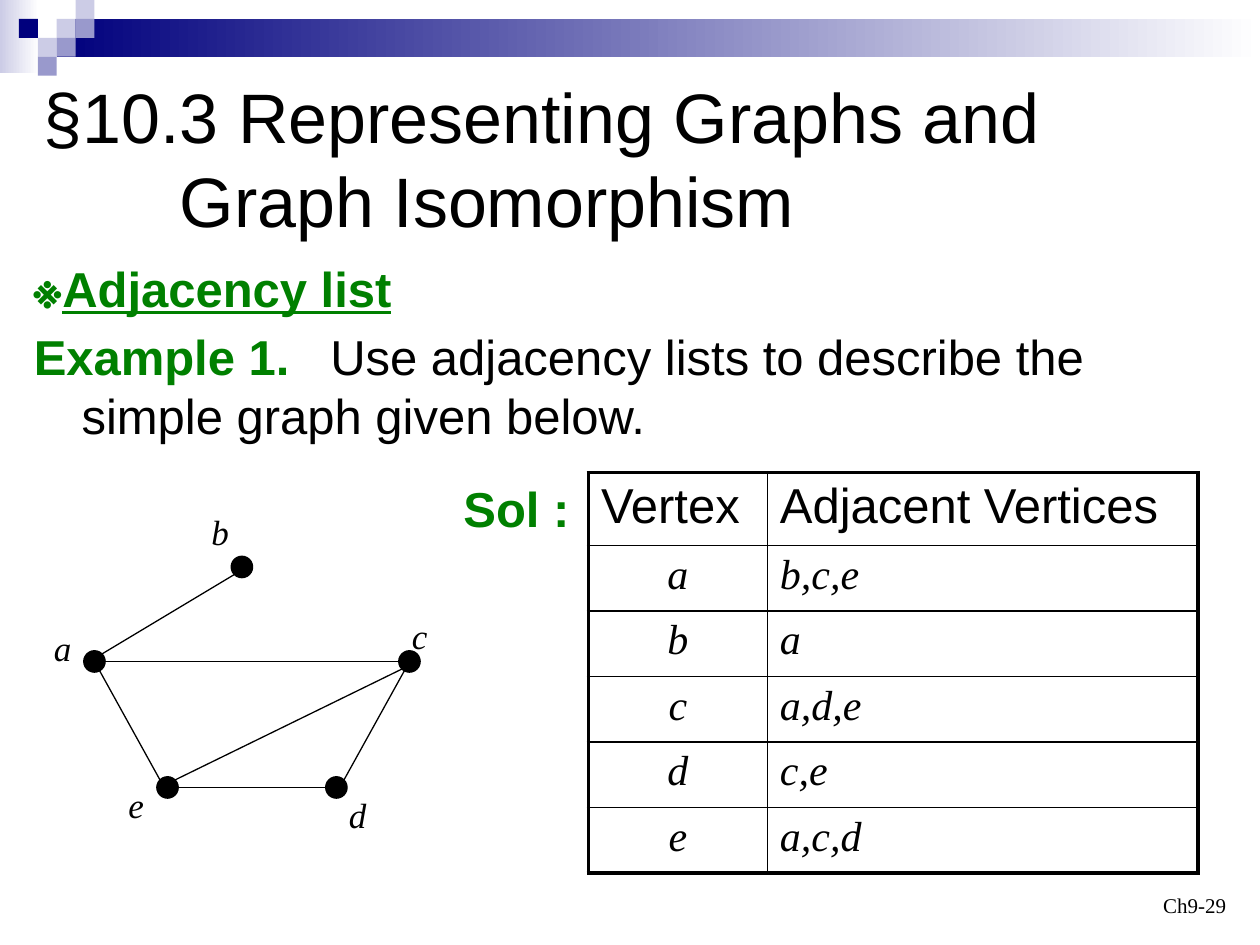
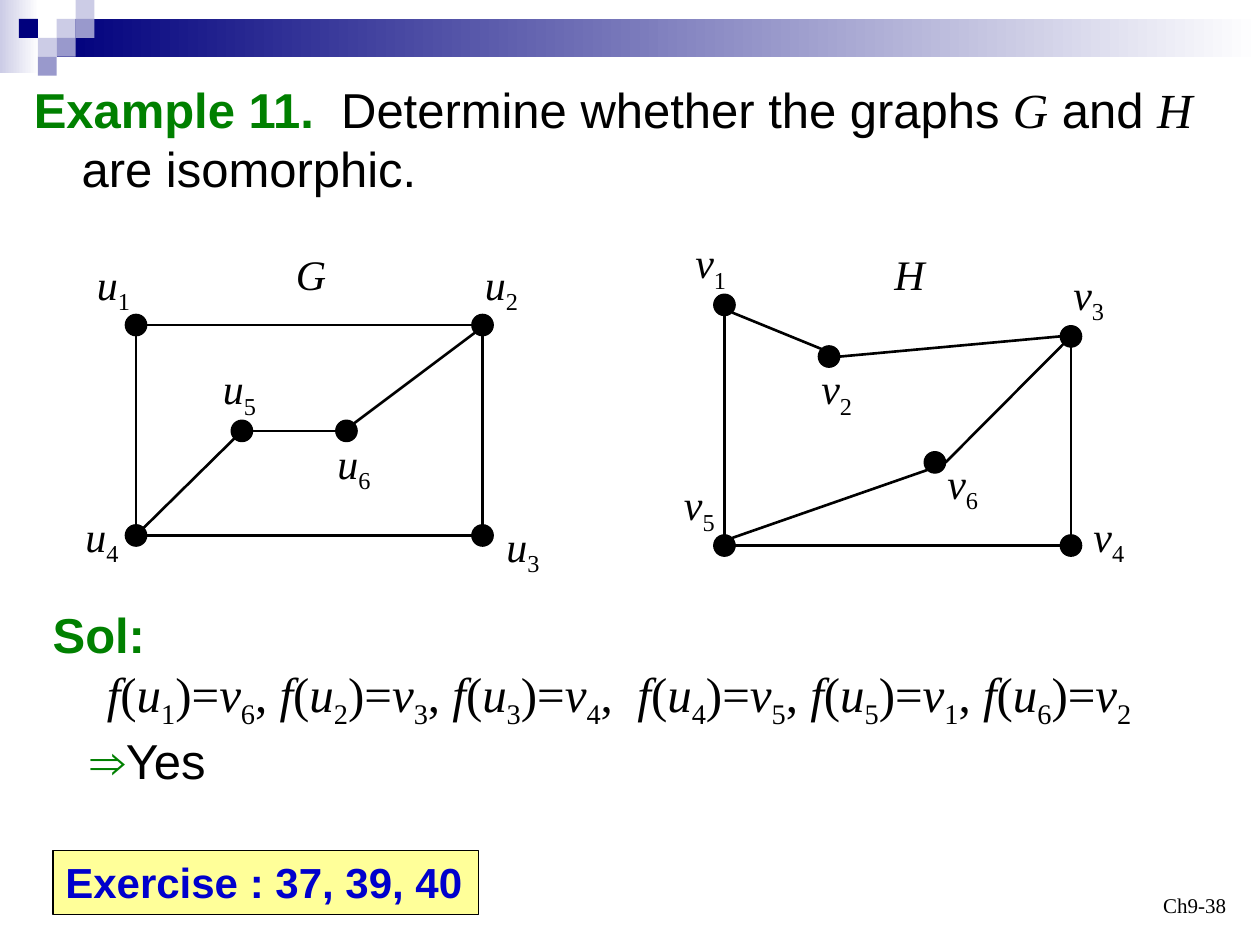
from dataclasses import dataclass
from math import cos, radians, sin

from lxml.etree import SubElement as Sub
from pptx import Presentation
from pptx.dml.color import RGBColor as Rgb
from pptx.enum.shapes import MSO_CONNECTOR as Conn, MSO_SHAPE as Kind
from pptx.enum.text import MSO_ANCHOR as Anchor, MSO_AUTO_SIZE as Auto, PP_ALIGN as Align
from pptx.oxml.ns import qn
from pptx.util import Inches, Pt


@dataclass(frozen=True)
class Theme:
    black: str = "000000"
    white: str = "FFFFFF"
    navy: str = "00007D"
    mid: str = "9999CC"
    pale: str = "CCCCE6"
    green: str = "008000"
    blue: str = "0000CC"
    yellow: str = "FFFF99"
    sans: str = "Arial"
    serif: str = "Times New Roman"
    title: int = 40
    body: int = 28
    label: int = 24
    small: int = 20
    foot: int = 12


T = Theme()
GREEN = dict(color=T.green, bold=True)
ITALIC = dict(font=T.serif, italic=True)
ROMAN = dict(font=T.serif)
SUBSCRIPT = dict(font=T.serif, base=-25000)
DOT = 0.17


def style(run, size=T.body, font=T.sans, color=T.black, bold=False,
          italic=False, under=False, base=0, gap=0):
    face = run.font
    face.size, face.name = Pt(size), font
    face.bold, face.italic, face.underline = bold, italic, under
    face.color.rgb = Rgb.from_string(color)
    props = run._r.get_or_add_rPr()
    if base:
        props.set("baseline", str(base))
    if gap:
        props.set("spc", str(round(gap * 100)))


def fill_text(frame, lines, align=Align.LEFT, lead=1, before=0,
              left=(), hang=0, **form):
    for i, line in enumerate(lines):
        para = frame.paragraphs[0] if i == 0 else frame.add_paragraph()
        para.alignment, para.line_spacing = align, lead
        if i and before:
            para.space_before = Pt(before)
        inset = left[i] if left else hang
        if inset:
            props = para._p.get_or_add_pPr()
            props.set("marL", str(Inches(inset)))
            props.set("indent", str(Inches(-hang)))
        for words, extra in [(line, {})] if isinstance(line, str) else line:
            run = para.add_run()
            run.text = words
            style(run, **{**form, **extra})


def write(slide, box, *lines, anchor=Anchor.TOP, wrap=True, fill=None, **form):
    shape = slide.shapes.add_textbox(*map(Inches, box))
    frame = shape.text_frame
    frame.word_wrap, frame.vertical_anchor = wrap, anchor
    frame.auto_size = Auto.NONE if wrap else Auto.SHAPE_TO_FIT_TEXT
    if fill:
        shape.fill.solid()
        shape.fill.fore_color.rgb = Rgb.from_string(fill)
        shape.line.color.rgb = Rgb.from_string(T.black)
        shape.line.width = Pt(0.75)
    fill_text(frame, lines, **form)


def block(slide, box, *tints, kind=Kind.RECTANGLE):
    shape = slide.shapes.add_shape(kind, *map(Inches, box))
    shape.shadow.inherit = False
    shape.line.fill.background()
    if len(tints) == 1:
        shape.fill.solid()
        shape.fill.fore_color.rgb = Rgb.from_string(tints[0])
    else:
        shape.fill.gradient()
        shape.fill.gradient_angle = 0
        for stop, tint, place in zip(shape.fill.gradient_stops, tints, (0, 1)):
            stop.color.rgb = Rgb.from_string(tint)
            stop.position = place
    return shape


def band(slide):
    block(slide, (0, 0, 0.31, 0.58), T.pale, T.white)
    block(slide, (0.45, 0.15, 9.55, 0.3), T.navy, T.white)
    tiles = [(3, 1, T.pale), (4, 0, T.pale), (4, 1, T.mid), (2, 2, T.pale),
             (1, 1, T.navy), (3, 2, T.mid), (2, 3, T.mid)]
    for col, row, tint in tiles:
        block(slide, (col * 0.15, row * 0.15, 0.15, 0.15), tint)


def footer(slide, mark):
    write(slide, (7.5, 6.83, 2.33, 0.5), mark, anchor=Anchor.BOTTOM,
          align=Align.RIGHT, size=T.foot, font=T.serif)


def start(deck, mark):
    slide = deck.slides.add_slide(deck.slide_layouts[6])
    band(slide)
    footer(slide, mark)
    return slide


def site(dot, side):
    x, y = dot
    if side == "c":
        return x, y
    turn = radians(45 * int(side))
    return x - DOT / 2 * sin(turn), y - DOT / 2 * cos(turn)


def edge(slide, begin, end, width):
    line = slide.shapes.add_connector(Conn.STRAIGHT, *map(Inches, begin + end))
    line.line.color.rgb = Rgb.from_string(T.black)
    line.line.width = Pt(width)
    Sub(line._element.spPr, qn("a:effectLst"))


def graph(slide, left, top, nodes, edges, width, size, wide):
    dots = {name: (left + x, top + y) for name, (x, y, _, _) in nodes.items()}
    for pair in edges.split():
        begin, end = pair.split("-")
        edge(slide, site(dots[begin[:-1]], begin[-1]),
             site(dots[end[:-1]], end[-1]), width)
    for name, (_, _, x, y) in nodes.items():
        cx, cy = dots[name]
        dot = block(slide, (cx - DOT / 2, cy - DOT / 2, DOT, DOT), T.black,
                    kind=Kind.OVAL)
        dot.line.color.rgb = Rgb.from_string(T.black)
        dot.line.width = Pt(0.75)
        runs = [(name[0], ITALIC)]
        if name[1:]:
            runs.append((name[1:], SUBSCRIPT))
        write(slide, (left + x, top + y, wide, size / 48), runs,
              wrap=False, size=size)


def border(cell, widths):
    props = cell._tc.get_or_add_tcPr()
    for side, width in zip("LRTB", widths):
        line = Sub(props, qn("a:ln" + side), w=str(Pt(width)))
        Sub(Sub(line, qn("a:solidFill")), qn("a:srgbClr"), val=T.black)
    cell.fill.background()


def grid(slide, box, rows, cols, heights):
    table = slide.shapes.add_table(len(rows), len(cols), *map(Inches, box)).table
    table.first_row = table.horz_banding = False
    for col, width in zip(table.columns, cols):
        col.width = Inches(width)
    for r, row in enumerate(rows):
        table.rows[r].height = Inches(heights[r])
        for c, words in enumerate(row):
            cell = table.cell(r, c)
            outer = (c == 0, c == len(cols) - 1, r == 0, r == len(rows) - 1)
            border(cell, [2.25 if out else 1 for out in outer])
            form = dict(ITALIC, size=T.label) if r else {}
            side = Align.CENTER if r and c == 0 else Align.LEFT
            fill_text(cell.text_frame, [words], align=side, **form)


def lists(deck):
    slide = start(deck, "Ch9-29")
    write(slide, (0.25, 0.5, 9, 1.5), "§10.3 Representing Graphs and",
          "Graph Isomorphism", anchor=Anchor.MIDDLE, size=T.title,
          left=(0, 1.08))
    write(slide, (0.17, 2, 9.67, 1.67),
          [("※", GREEN), ("Adjacency list", dict(GREEN, under=True))],
          [("Example 1.", GREEN), (" ", dict(gap=15.6)),
           ("Use adjacency lists to describe the simple graph given below.", {})],
          hang=0.38, before=5.6)
    nodes = {"a": (0.42, 1.25, 0, 0.92), "b": (1.59, 0.5, 1.25, 0),
             "c": (2.92, 1.25, 2.84, 0.83), "d": (2.34, 2.25, 2.34, 2.25),
             "e": (1, 2.25, 0.59, 2.17)}
    graph(slide, 0.33, 4, nodes, "b3-a7 ac-e1 cc-d7 e6-d2 a6-c2 c3-e7",
          0.75, T.small, 0.34)
    write(slide, (3.58, 3.75, 1.11, 0.57), "Sol :", wrap=False, **GREEN)
    rows = [("Vertex", "Adjacent Vertices"), ("a", "b,c,e"), ("b", "a"),
            ("c", "a,d,e"), ("d", "c,e"), ("e", "a,c,d")]
    grid(slide, (4.67, 3.75, 4.84, 3.18), rows, (1.42, 3.42),
         [0.58] + [0.52] * 5)


def match(images):
    runs = []
    for i, image in enumerate(images, 1):
        if i > 1:
            runs += [(",", ROMAN), (" ", dict(ROMAN, gap=7 if i == 4 else 0))]
        runs += [("f", ITALIC), ("(", ROMAN), ("u", ITALIC), (str(i), SUBSCRIPT),
                 (")=", ROMAN), ("v", ITALIC), (str(image), SUBSCRIPT)]
    return runs


def pairs(deck):
    slide = start(deck, "Ch9-38")
    write(slide, (0.17, 0.58, 9.67, 1.17),
          [("Example 11.", GREEN), (" ", dict(gap=7.8)),
           ("Determine whether the graphs ", {}), ("G", ITALIC), (" and ", {}),
           ("H", ITALIC), (" are isomorphic.", {})], hang=0.38)
    first = {"u1": (0.5, 0.66, 0.09, 0.08), "u2": (3.25, 0.66, 3.17, 0.08),
             "u3": (3.25, 2.33, 3.34, 2.16), "u4": (0.5, 2.33, 0, 2.08),
             "u5": (1.34, 1.5, 1.09, 0.91), "u6": (2.17, 1.5, 2, 1.5)}
    second = {"v1": (0.42, 0.59, 0.09, 0), "v2": (1.25, 1, 1.09, 1),
              "v3": (3.17, 0.84, 3.09, 0.25), "v4": (3.17, 2.5, 3.25, 2.17),
              "v5": (0.42, 2.5, 0, 1.92), "v6": (2.09, 1.84, 2.09, 1.75)}
    graph(slide, 0.58, 1.92, first,
          "u14-u40 u16-u22 u24-u30 u46-u32 u53-u47 u62-u56 u67-u23",
          1.5, T.label, 0.48)
    graph(slide, 5.33, 1.83, second,
          "v34-v40 v56-v42 v63-v57 v66-v33 v14-v50 v15-v21 v26-v32",
          1.5, T.label, 0.46)
    for name, x in (("G", 2.25), ("H", 7)):
        write(slide, (x, 1.92, 0.44, 0.5), name, wrap=False, size=T.label,
              **ITALIC)
    write(slide, (0.32, 4.75, 9.1, 1.5), [("Sol:", GREEN)],
          match((6, 3, 4, 5, 1, 2)), [("⇒", GREEN), ("Yes", {})],
          left=(0, 0.43, 0.3))
    write(slide, (0.42, 6.75, 3.38, 0.51), "Exercise : 37, 39, 40", wrap=False,
          fill=T.yellow, size=T.label, color=T.blue, bold=True)


def main():
    deck = Presentation()
    deck.slide_width, deck.slide_height = Inches(10), Inches(7.5)
    lists(deck)
    pairs(deck)
    deck.save("out.pptx")


if __name__ == "__main__":
    main()
